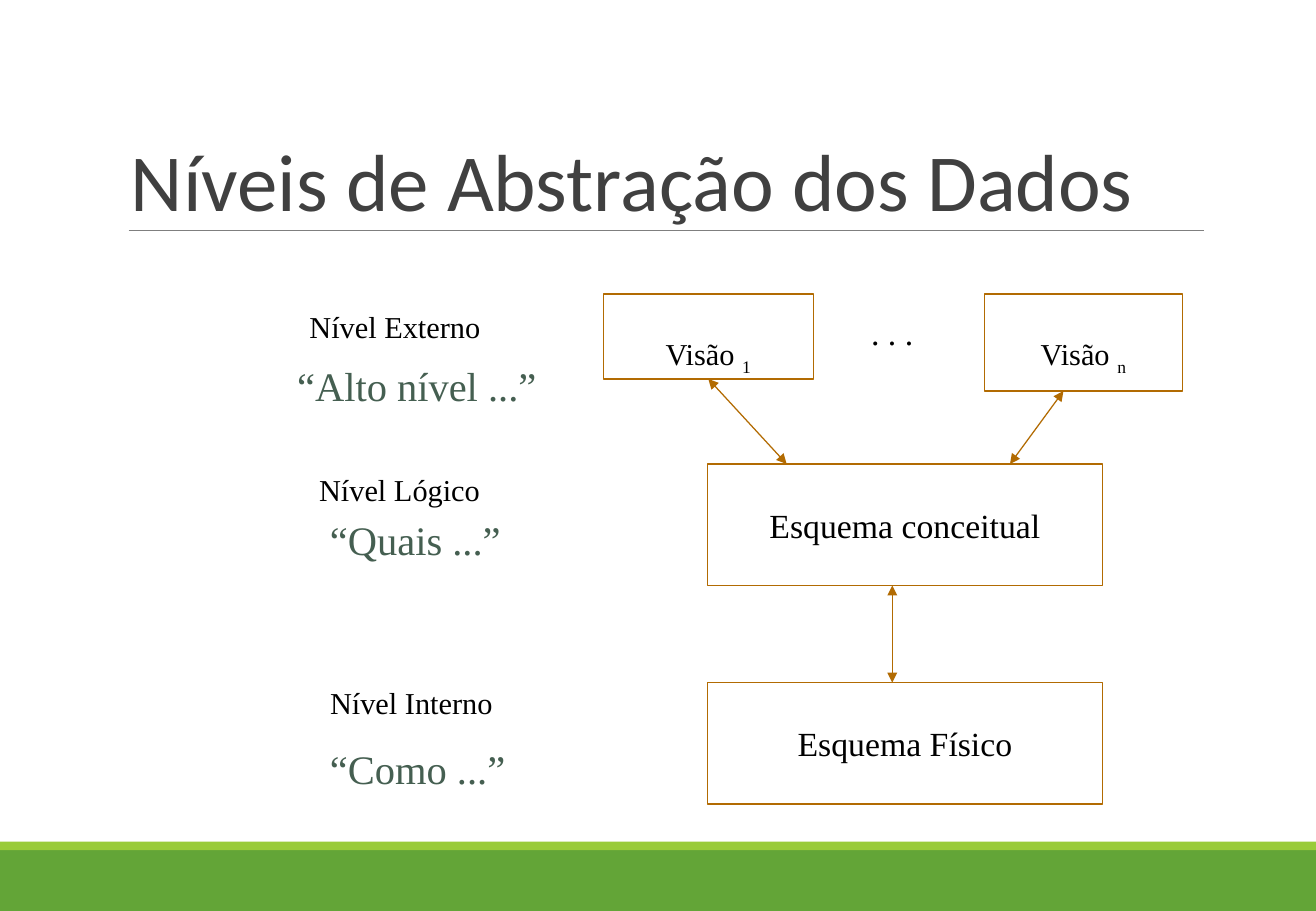
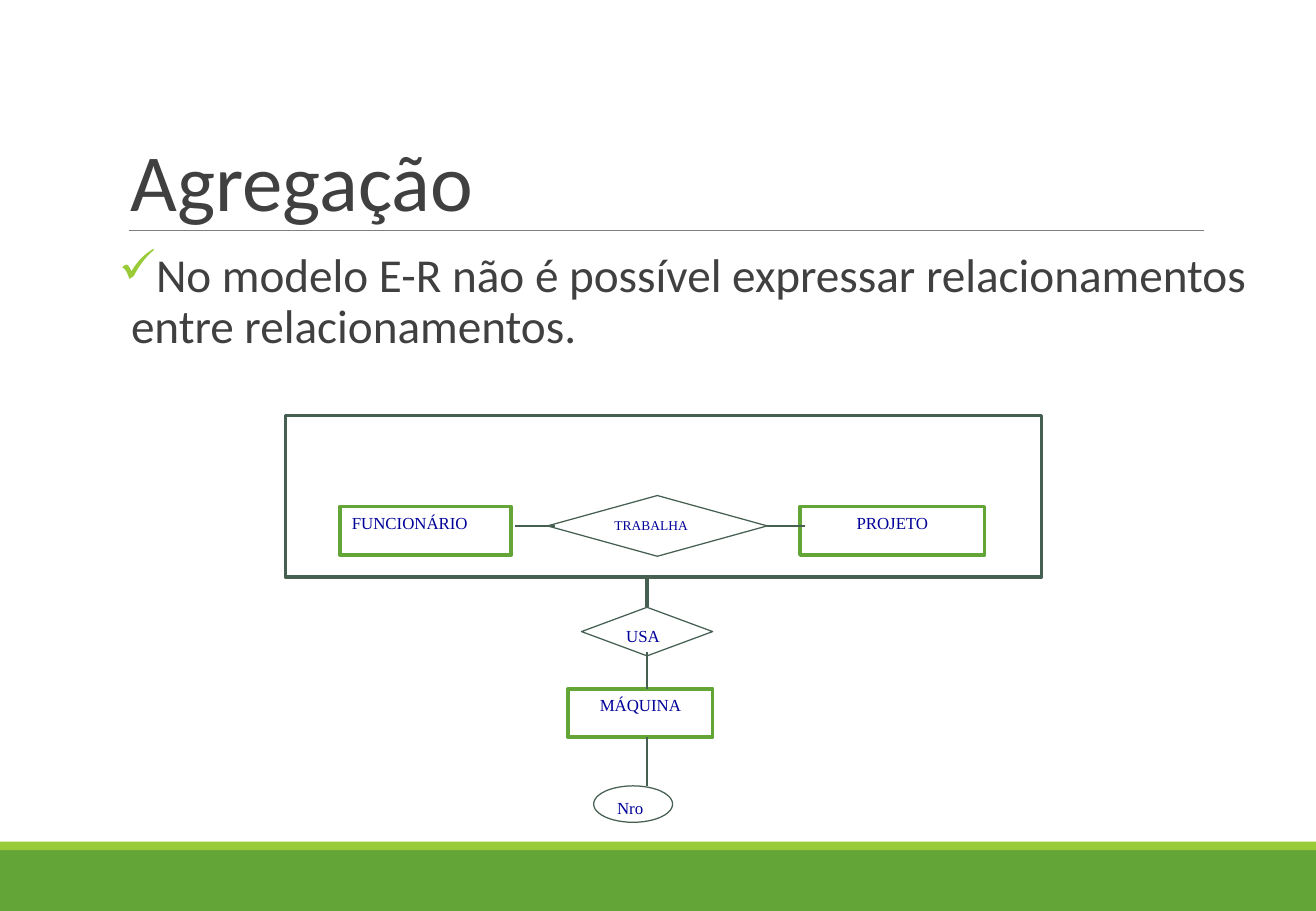
from dataclasses import dataclass

from lxml.etree import SubElement
from pptx import Presentation
from pptx.dml.color import RGBColor
from pptx.enum.shapes import MSO_CONNECTOR, MSO_SHAPE
from pptx.enum.text import MSO_ANCHOR, PP_ALIGN
from pptx.oxml.ns import qn
from pptx.util import Inches, Pt


@dataclass(frozen=True)
class Theme:
    band: str = "63A537"
    accent: str = "99CB38"
    rule: str = "7F7F7F"
    heading: str = "404040"
    black: str = "000000"
    white: str = "FFFFFF"
    schema: str = "B26B02"
    slate: str = "455F51"
    entity: str = "000099"
    sans: str = "Calibri"
    serif: str = "Times New Roman"
    title_size: int = 48
    body_size: int = 28
    quote_size: int = 24
    schema_size: int = 20
    level_size: int = 18
    entity_size: int = 10
    relation_size: int = 8
    thin: float = 0.75
    thick: float = 2
    entity_line: float = 2.25


THEME = Theme()
WIDTH, HEIGHT = 10.84, 7.5


def color(value):
    return RGBColor.from_string(value)


def add_bullet(para, symbol, indent):
    properties = para._p.get_or_add_pPr()
    properties.set("marL", str(Inches(indent)))
    properties.set("indent", str(-Inches(indent)))
    tint = SubElement(properties, qn("a:buClr"))
    SubElement(tint, qn("a:srgbClr")).set("val", THEME.accent)
    SubElement(properties, qn("a:buChar")).set("char", symbol)


def write(shape, text, size, ink=THEME.black, font=THEME.serif,
          align=PP_ALIGN.LEFT, anchor=MSO_ANCHOR.TOP,
          margins=(0.1, 0.05, 0.1, 0.05), spacing=None, bullet=None, subscript=None):
    frame = shape.text_frame
    frame.word_wrap = True
    frame.vertical_anchor = anchor
    (frame.margin_left, frame.margin_top,
     frame.margin_right, frame.margin_bottom) = map(Inches, margins)
    para = frame.paragraphs[0]
    para.alignment = align
    if bullet:
        add_bullet(para, bullet, 0.1)
    if spacing:
        para.line_spacing = spacing
    for words, offset in ((text, None), (subscript, "-25000")):
        if words:
            span = para.add_run()
            span.text = words
            span.font.name = font
            span.font.size = Pt(size)
            span.font.color.rgb = color(ink)
            if offset:
                span._r.get_or_add_rPr().set("baseline", offset)


def add_text(page, place, text, size, **style):
    box = page.shapes.add_textbox(*map(Inches, place))
    write(box, text, size, **style)
    return box


def add_box(page, place, kind=MSO_SHAPE.RECTANGLE, fill=None, line=None, weight=THEME.thin):
    shape = page.shapes.add_shape(kind, *map(Inches, place))
    shape.shadow.inherit = False
    if fill:
        shape.fill.solid()
        shape.fill.fore_color.rgb = color(fill)
    else:
        shape.fill.background()
    if line:
        shape.line.color.rgb = color(line)
        shape.line.width = Pt(weight)
    else:
        shape.line.fill.background()
    return shape


def add_line(page, start, end, ink=THEME.slate, weight=THEME.thin,
             arrows=False, begin=None, finish=None):
    line = page.shapes.add_connector(MSO_CONNECTOR.STRAIGHT, *map(Inches, (*start, *end)))
    line.line.color.rgb = color(ink)
    line.line.width = Pt(weight)
    if arrows:
        outline = line.line._get_or_add_ln()
        for tip in ("a:headEnd", "a:tailEnd"):
            SubElement(outline, qn(tip)).set("type", "triangle")
    SubElement(line._element.spPr, qn("a:effectLst"))
    if begin:
        line.begin_connect(*begin)
    if finish:
        line.end_connect(*finish)
    return line


def add_page(deck, title):
    page = deck.slides.add_slide(deck.slide_layouts[6])
    add_box(page, (0, 7, WIDTH, 0.5), fill=THEME.band)
    add_box(page, (0, 6.93, WIDTH, 0.07), fill=THEME.accent)
    add_line(page, (1.06, 1.9), (9.92, 1.9), THEME.rule, 0.5)
    add_text(page, (0.98, 0.31, 9.4, 1.59), title, THEME.title_size,
             ink=THEME.heading, font=THEME.sans, anchor=MSO_ANCHOR.BOTTOM,
             margins=(0.1, 0.05, 0.1, 0.02), spacing=0.85)
    return page


def add_schema(page, place, text):
    box = add_box(page, place, line=THEME.schema)
    write(box, text, THEME.schema_size, align=PP_ALIGN.CENTER, anchor=MSO_ANCHOR.MIDDLE)
    return box


def add_view(page, place, index):
    box = add_box(page, place, line=THEME.schema)
    write(box, "Visão ", THEME.level_size, align=PP_ALIGN.CENTER,
          margins=(0.1, 0.34, 0.1, 0.05), subscript=index)
    return box


def add_entity(page, place, text, align=PP_ALIGN.CENTER):
    box = add_box(page, place, line=THEME.band, weight=THEME.entity_line)
    write(box, text, THEME.entity_size, ink=THEME.entity, align=align)
    return box


def add_relation(page, place, text, size=THEME.entity_size):
    diamond = add_box(page, place, MSO_SHAPE.FLOWCHART_DECISION, THEME.white, THEME.slate)
    write(diamond, text, size, ink=THEME.entity)
    return diamond


def build_levels(deck):
    page = add_page(deck, "Níveis de Abstração dos Dados")
    for top, text in ((3.82, "Esquema conceitual"), (5.62, "Esquema Físico")):
        add_schema(page, (5.83, top, 3.25, 1), text)
    first_view = add_view(page, (4.97, 2.42, 1.73, 0.7), "1")
    add_view(page, (8.11, 2.42, 1.63, 0.8), "n")
    add_text(page, (6.92, 2.52, 0.86, 0.5), ". . .", THEME.schema_size,
             align=PP_ALIGN.CENTER)
    for start, end, begin in (
        ((7.35, 4.82), (7.35, 5.62), None),
        ((5.83, 3.12), (6.48, 3.82), (first_view, 2)),
        ((8.76, 3.22), (8.32, 3.82), None),
    ):
        add_line(page, start, end, THEME.schema, arrows=True, begin=begin)
    for left, top, level, quote_left, quote_top, quote in (
        (2.45, 2.49, "Nível Externo", 2.35, 2.92, "“Alto nível ...”"),
        (2.53, 3.83, "Nível Lógico", 2.62, 4.19, "“Quais ...”"),
        (2.62, 5.58, "Nível Interno", 2.62, 6.08, "“Como ...”"),
    ):
        add_text(page, (left, top, 2.25, 0.5), level, THEME.level_size)
        add_text(page, (quote_left, quote_top, 2.44, 0.5), quote,
                 THEME.quote_size, ink=THEME.slate)


def build_aggregation(deck):
    page = add_page(deck, "Agregação")
    add_box(page, (2.35, 3.42, 6.23, 1.33), line=THEME.slate, weight=THEME.thick)
    add_text(page, (0.98, 2.02, 9.4, 4.4),
             "No modelo E-R não é possível expressar relacionamentos entre relacionamentos.",
             THEME.body_size, ink=THEME.heading, font=THEME.sans,
             margins=(0, 0.05, 0, 0.05), spacing=0.9, bullet="✓")
    add_entity(page, (2.8, 4.17, 1.41, 0.4), "FUNCIONÁRIO", PP_ALIGN.LEFT)
    add_entity(page, (6.59, 4.17, 1.52, 0.4), "PROJETO")
    add_entity(page, (4.68, 5.67, 1.19, 0.4), "MÁQUINA")
    works = add_relation(page, (4.51, 4.08, 1.81, 0.5), "TRABALHA", THEME.relation_size)
    uses = add_relation(page, (4.79, 5, 1.08, 0.4), "USA")
    number = add_box(page, (4.89, 6.47, 0.65, 0.3), MSO_SHAPE.OVAL, line=THEME.slate)
    write(number, "Nro", THEME.entity_size, ink=THEME.entity)
    add_line(page, (4.24, 4.33), (4.57, 4.33))
    add_line(page, (6.32, 4.33), (6.63, 4.33), begin=(works, 3))
    add_line(page, (5.33, 5.37), (5.33, 5.67))
    add_line(page, (5.33, 6.07), (5.33, 6.47))
    add_line(page, (5.33, 4.75), (5.33, 5), weight=THEME.thick, finish=(uses, 0))


def main():
    deck = Presentation()
    deck.slide_width, deck.slide_height = Inches(WIDTH), Inches(HEIGHT)
    build_levels(deck)
    build_aggregation(deck)
    deck.save("out.pptx")


if __name__ == "__main__":
    main()
